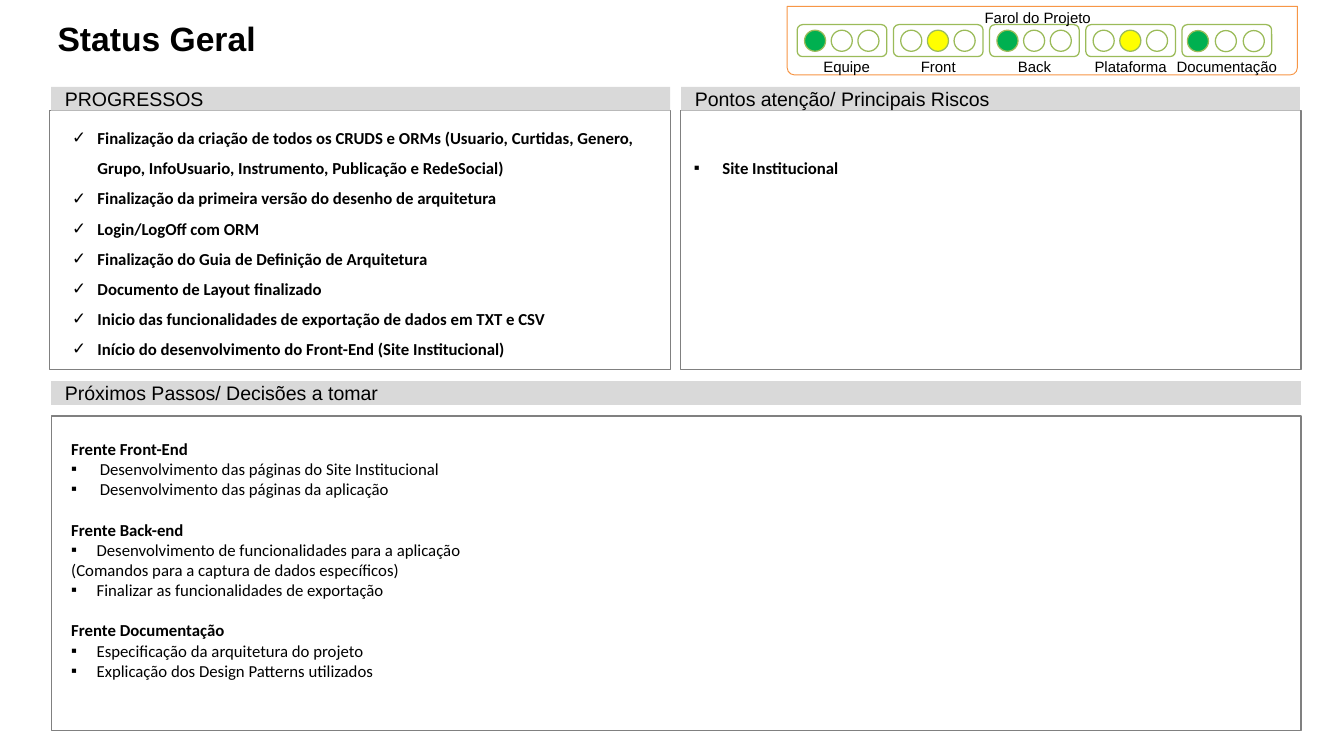
import pptx
import pptx.util
import pptx.dml.color
import pptx.enum.shapes
import pptx.enum.text
import lxml.etree
from pptx.oxml.ns import qn

Pt = pptx.util.Pt
SHAPES = pptx.enum.shapes.MSO_SHAPE
ANCHOR = pptx.enum.text.MSO_ANCHOR
ALIGN = pptx.enum.text.PP_ALIGN
COLORS = {
    "text": "000000", "header": "D9D9D9", "panel": "808080", "frame": "F79646",
    "light": "9BBB59", "off": "FFFFFF", "green": "00B050", "yellow": "FFFF00",
}

presentation = pptx.Presentation()
presentation.slide_width, presentation.slide_height = Pt(1058.4), Pt(595.44)
slide = presentation.slides.add_slide(presentation.slide_layouts[5])


def add_box(preset, left, top, width, height, fill=None, line=None, weight=1):
    box = slide.shapes.add_shape(preset, Pt(left), Pt(top), Pt(width), Pt(height))
    box.shadow.inherit = False
    if fill:
        box.fill.solid()
        box.fill.fore_color.rgb = pptx.dml.color.RGBColor.from_string(COLORS[fill])
    else:
        box.fill.background()
    if line:
        box.line.color.rgb = pptx.dml.color.RGBColor.from_string(COLORS[line])
        box.line.width = Pt(weight)
    else:
        box.line.fill.background()
    return box


def write(paragraph, text, size, font="Arial", bold=False, bullet=None, indent=0):
    paragraph.text = text
    style = paragraph.runs[0].font
    style.name, style.size, style.bold = font, Pt(size), bold
    style.color.rgb = pptx.dml.color.RGBColor.from_string(COLORS["text"])
    if bullet:
        properties = paragraph._p.get_or_add_pPr()
        properties.set("marL", str(Pt(indent)))
        properties.set("indent", str(Pt(-indent)))
        lxml.etree.SubElement(properties, qn("a:buFont")).set("typeface", "Arial")
        lxml.etree.SubElement(properties, qn("a:buChar")).set("char", bullet)


# Title
title = slide.shapes.title
title.left, title.top, title.width, title.height = Pt(36.7), Pt(14.4), Pt(952.6), Pt(63.4)
title_frame = title.text_frame
title_frame.auto_size = pptx.enum.text.MSO_AUTO_SIZE.NONE
title_frame.vertical_anchor = ANCHOR.TOP
title_frame.margin_left = title_frame.margin_right = Pt(8.6)
title_frame.margin_top = title_frame.margin_bottom = 0
write(title_frame.paragraphs[0], "Status Geral", 26.5, bold=True)
title_frame.paragraphs[0].alignment = ALIGN.LEFT

# Panels and their headers
for left, top, width, height in [
    (38.9, 87.1, 488.9, 203.8),
    (535.7, 87.1, 488.9, 203.8),
    (40.3, 327.6, 984.2, 247.7),
]:
    add_box(SHAPES.RECTANGLE, left, top, width, height, line="panel")

for heading, left, top, width in [
    ("PROGRESSOS", 40.3, 68.4, 487.4),
    ("Pontos atenção/ Principais Riscos", 536.4, 68.4, 487.4),
    ("Próximos Passos/ Decisões a tomar", 40.3, 300.2, 984.2),
]:
    header = add_box(SHAPES.RECTANGLE, left, top, width, 18.7, fill="header")
    header_frame = header.text_frame
    header_frame.vertical_anchor = ANCHOR.MIDDLE
    header_frame.margin_left = header_frame.margin_right = Pt(10.8)
    header_frame.margin_top = header_frame.margin_bottom = Pt(5)
    write(header_frame.paragraphs[0], heading, 15.4)
    header_frame.paragraphs[0].alignment = ALIGN.LEFT

# Project traffic lights
frame = add_box(SHAPES.ROUND_2_SAME_RECTANGLE, 619.9, 5, 401.8, 54, line="frame", weight=0.75)
frame.rotation = 180
frame.adjustments[0], frame.adjustments[1] = 0.106, 0

LIGHT_WIDTH, LIGHT_STEP, LABEL_WIDTH = 70.6, 75.75, 110
labels = [("Farol do Projeto", 817.2, 6.5)]
for index, (area, lamps, inset, lamp_step, top, label_shift) in enumerate([
    ("Equipe", ("green", "off", "off"), 5.8, 21, 23.8, 3.6),
    ("Front", ("off", "yellow", "off"), 5.8, 21, 23.8, 0),
    ("Back", ("green", "off", "off"), 5.8, 21, 23.8, 0),
    ("Plataforma", ("off", "yellow", "off"), 5.8, 21, 23.8, 0),
    ("Documentação", ("green", "off", "off"), 4.3, 22, 24.1, 0),
]):
    left = 627.8 + index * LIGHT_STEP
    add_box(SHAPES.ROUNDED_RECTANGLE, left, 19.4, LIGHT_WIDTH, 25.2, "off", "light")
    for position, lamp in enumerate(lamps):
        add_box(SHAPES.OVAL, left + inset + position * lamp_step, top, 16.6, 16.6, lamp, "light")
    labels.append((area, left + LIGHT_WIDTH / 2 + label_shift, 45.4))

for label, center, top in labels:
    label_frame = slide.shapes.add_textbox(
        Pt(center - LABEL_WIDTH / 2), Pt(top), Pt(LABEL_WIDTH), Pt(14.4)).text_frame
    label_frame.word_wrap = False
    label_frame.vertical_anchor = ANCHOR.BOTTOM
    label_frame.margin_left = label_frame.margin_right = label_frame.margin_bottom = 0
    label_frame.margin_top = 0
    write(label_frame.paragraphs[0], label, 11.8)
    label_frame.paragraphs[0].alignment = ALIGN.CENTER

# Panel contents: text, bold, bullet, indent, space before
progress = [(text, True, "✓", 20, 0) for text in [
    "Finalização da criação de todos os CRUDS e ORMs (Usuario, Curtidas, Genero, "
    "Grupo, InfoUsuario, Instrumento, Publicação e RedeSocial)",
    "Finalização da primeira versão do desenho de arquitetura",
    "Login/LogOff com ORM",
    "Finalização do Guia de Definição de Arquitetura",
    "Documento de Layout finalizado",
    "Inicio das funcionalidades de exportação de dados em TXT e CSV",
    "Início do desenvolvimento do Front-End (Site Institucional)",
]]
risks = [("Site Institucional", True, "▪", 22.5, 0)]
next_steps = [
    ("Frente Front-End", True, None, 0, 0),
    ("Desenvolvimento das páginas do Site Institucional", False, "▪", 22.5, 0),
    ("Desenvolvimento das páginas da aplicação", False, "▪", 22.5, 0),
    ("Frente Back-end", True, None, 0, 16),
    ("Desenvolvimento de funcionalidades para a aplicação", False, "▪", 20, 0),
    ("(Comandos para a captura de dados específicos)", False, None, 0, 0),
    ("Finalizar as funcionalidades de exportação", False, "▪", 20, 0),
    ("Frente Documentação", True, None, 0, 16),
    ("Especificação da arquitetura do projeto", False, "▪", 20, 0),
    ("Explicação dos Design Patterns utilizados", False, "▪", 20, 0),
]
for lines, left, top, width, height, spacing in [
    (risks, 539.3, 121, 485.3, 23, 1),
    (next_steps, 49, 342, 335, 224.6, 1),
    (progress, 49.7, 89.3, 482.4, 231.1, 1.5),
]:
    content = slide.shapes.add_textbox(Pt(left), Pt(top), Pt(width), Pt(height)).text_frame
    content.word_wrap = True
    for index, (text, bold, bullet, indent, gap) in enumerate(lines):
        paragraph = content.add_paragraph() if index else content.paragraphs[0]
        paragraph.line_spacing = spacing
        paragraph.space_before = Pt(gap)
        write(paragraph, text, 13.2, "Calibri", bold, bullet, indent)

presentation.save("out.pptx")
